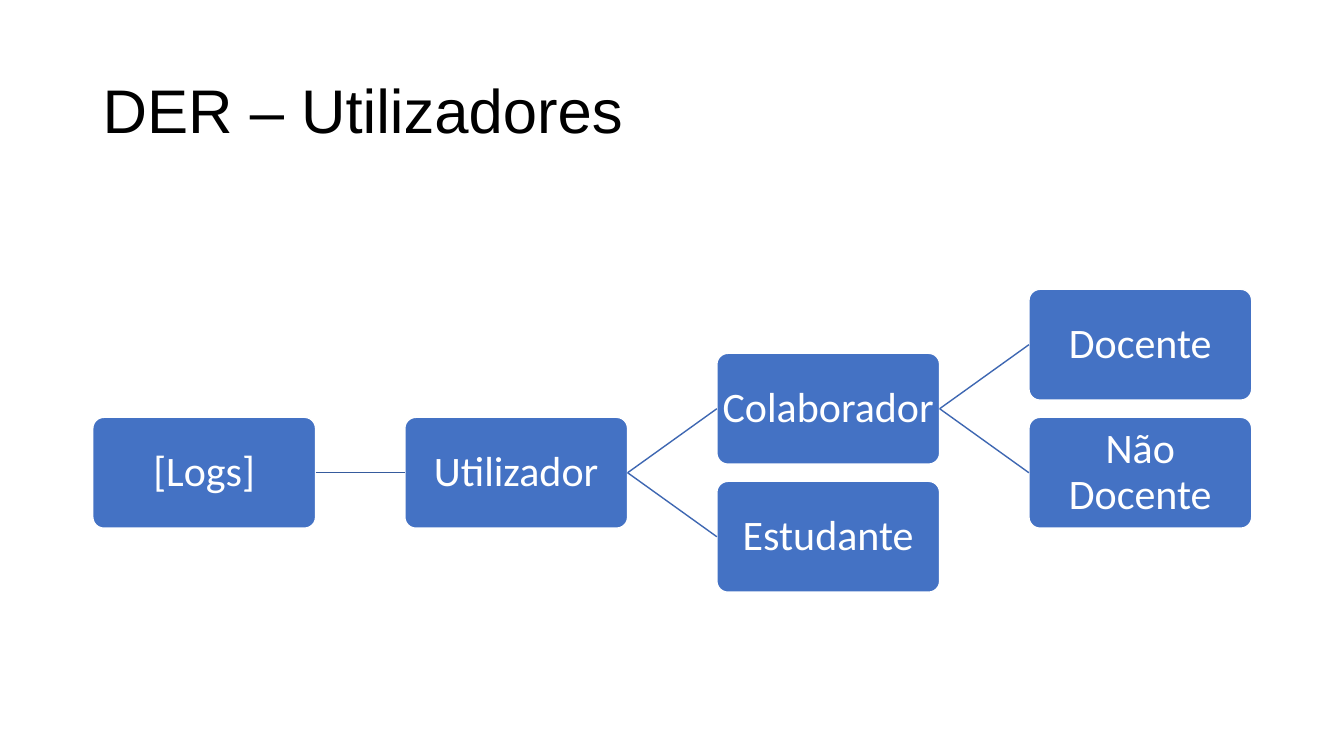
from lxml import etree
from pptx import Presentation
from pptx.dml.color import RGBColor
from pptx.enum.shapes import MSO_CONNECTOR, MSO_SHAPE
from pptx.enum.text import MSO_ANCHOR, PP_ALIGN
from pptx.oxml.ns import qn
from pptx.util import Inches, Pt

ROUND = MSO_SHAPE.ROUNDED_RECTANGLE
STRAIGHT = MSO_CONNECTOR.STRAIGHT
MIDDLE = MSO_ANCHOR.MIDDLE
CENTER = PP_ALIGN.CENTER
LEFT_SIDE, RIGHT_SIDE = 1, 3

BOX_W, BOX_H = 2.21, 1.1
LEFT, TOP = 0.92, 2.87
COL_STEP, HALF_ROW = 3.095, 0.635

# Label: (column, half rows below the top box)
NODES = {
    "[Logs]": (0, 2),
    "Utilizador": (1, 2),
    "Colaborador": (2, 1),
    "Estudante": (2, 3),
    "Docente": (3, 0),
    "Não Docente": (3, 2),
}
LINKS = [
    ("[Logs]", "Utilizador", "365B9D"),
    ("Utilizador", "Colaborador", "3E67B2"),
    ("Utilizador", "Estudante", "3E67B2"),
    ("Colaborador", "Docente", "3E67B2"),
    ("Colaborador", "Não Docente", "3E67B2"),
]


def color(value):
    return RGBColor.from_string(value)


def write(shape, text, font, size, tint):
    """Put one wrapped, vertically centred paragraph in a shape."""
    frame = shape.text_frame
    frame.word_wrap = True
    frame.vertical_anchor = MIDDLE
    para = frame.paragraphs[0]
    para.text = text
    para.line_spacing = 0.9
    para.font.name = font
    para.font.size = Pt(size)
    para.font.color.rgb = color(tint)
    return frame


def add_title(slide, text):
    box = slide.shapes.add_textbox(
        Inches(0.92), Inches(0.4), Inches(11.5), Inches(1.45))
    write(box, text, "Arial", 44, "000000")


def add_node(slide, label, col, row):
    box = slide.shapes.add_shape(
        ROUND, Inches(LEFT + col * COL_STEP), Inches(TOP + row * HALF_ROW),
        Inches(BOX_W), Inches(BOX_H))
    box.adjustments[0] = 0.1
    box.shadow.inherit = False
    box.fill.solid()
    box.fill.fore_color.rgb = color("4472C4")
    box.line.color.rgb = color("FFFFFF")
    box.line.width = Pt(1)
    frame = write(box, label, "Calibri", 30, "FFFFFF")
    frame.margin_left = frame.margin_right = Inches(0.02)
    frame.margin_top = frame.margin_bottom = Inches(0.02)
    frame.paragraphs[0].alignment = CENTER
    return box


def add_link(slide, start, end, tint):
    line = slide.shapes.add_connector(STRAIGHT, 0, 0, 0, 0)
    line.begin_connect(start, RIGHT_SIDE)
    line.end_connect(end, LEFT_SIDE)
    line.line.color.rgb = color(tint)
    line.line.width = Pt(1)
    etree.SubElement(line._element.spPr, qn("a:effectLst"))


def main():
    deck = Presentation()
    deck.slide_width = Inches(13.33)
    deck.slide_height = Inches(7.5)
    slide = deck.slides.add_slide(deck.slide_layouts[6])
    add_title(slide, "DER – Utilizadores")
    boxes = {label: add_node(slide, label, *place)
             for label, place in NODES.items()}
    for start, end, tint in LINKS:
        add_link(slide, boxes[start], boxes[end], tint)
    deck.save("out.pptx")


if __name__ == "__main__":
    main()
